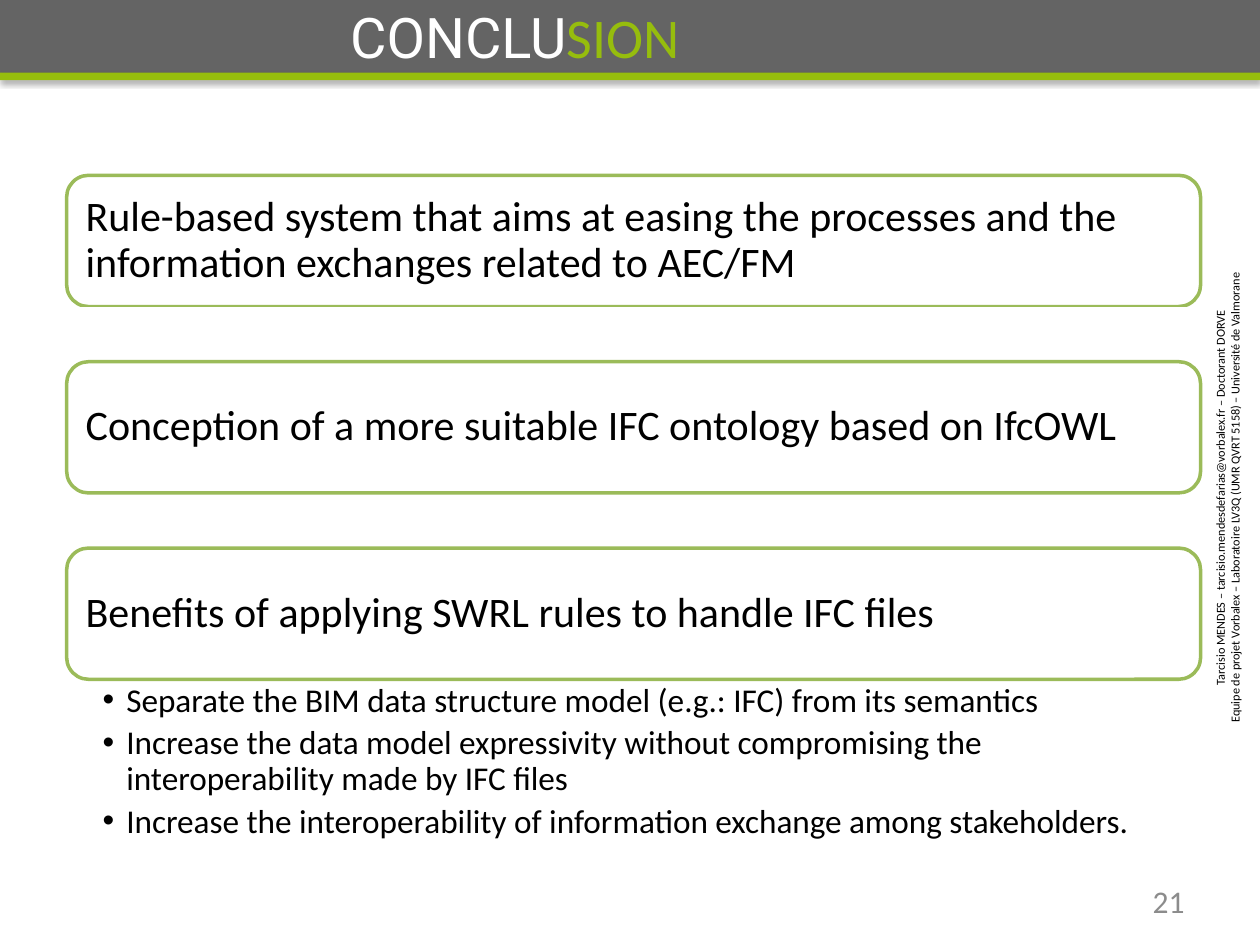
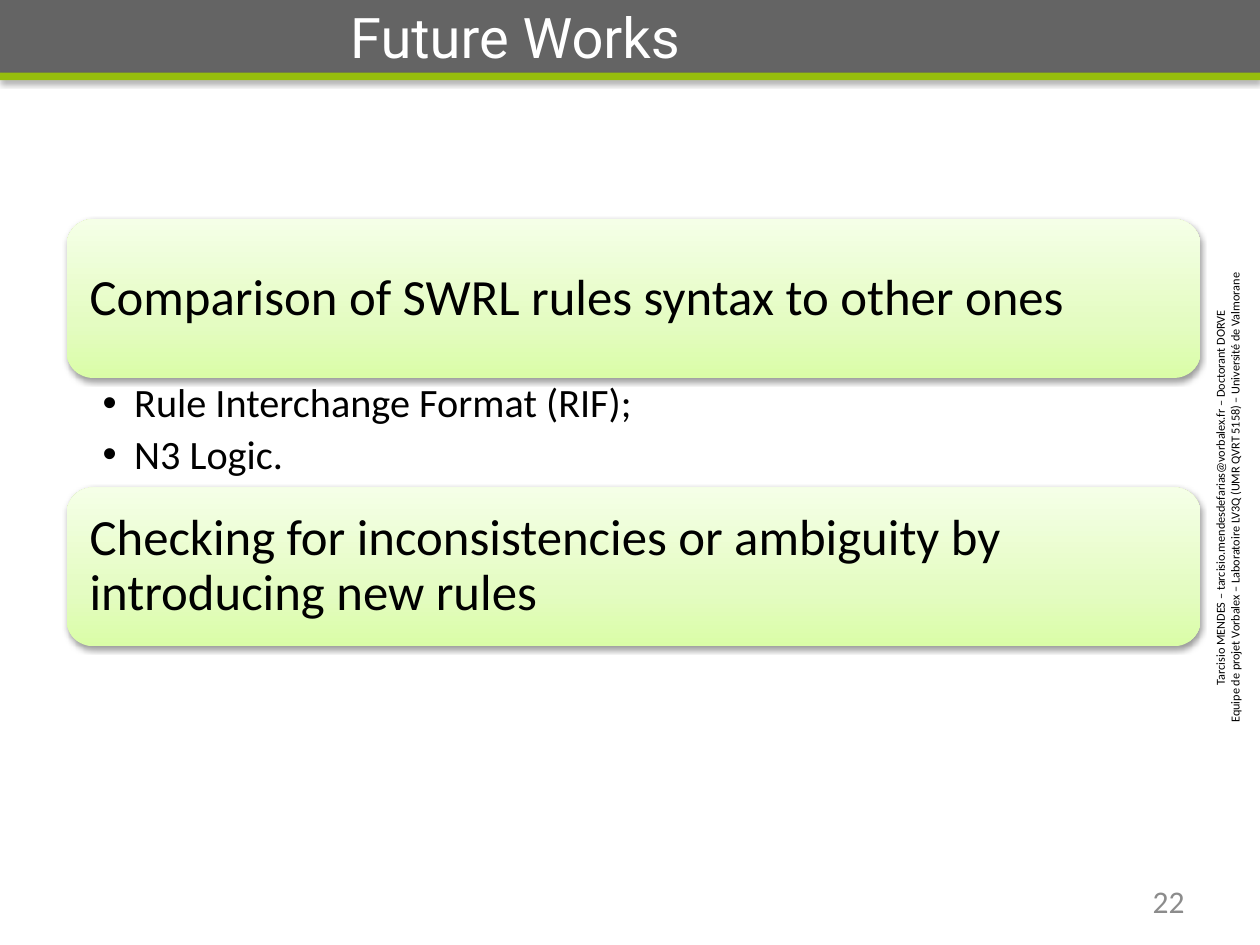
from copy import deepcopy

from lxml import etree
from pptx import Presentation
from pptx.dml.color import RGBColor
from pptx.enum.shapes import MSO_SHAPE
from pptx.enum.text import MSO_ANCHOR, PP_ALIGN
from pptx.oxml.ns import qn
from pptx.util import Pt

RECT, ROUNDED = MSO_SHAPE.RECTANGLE, MSO_SHAPE.ROUNDED_RECTANGLE
TOP, MIDDLE = MSO_ANCHOR.TOP, MSO_ANCHOR.MIDDLE
LEFT, CENTER, RIGHT = PP_ALIGN.LEFT, PP_ALIGN.CENTER, PP_ALIGN.RIGHT

COLORS = {
    "band": "646464",
    "accent": "96BD0D",
    "outline": "9BBB59",
    "white": "FFFFFF",
    "black": "000000",
    "page": "8C8C8C",
    "card_bottom": "DAFDA7",
    "card_middle": "E4FCC2",
    "card_top": "F5FFE7",
}
CARD_GRADIENT = [(0, "card_bottom"), (0.35, "card_middle"), (1, "card_top")]
BODY_FONT, TITLE_FONT = "Calibri", "Roboto"
SLIDE_W, SLIDE_H = 720, 540
CARD_X, CARD_W = 38.1, 648
DEFAULT_INSETS = (7.2, 3.6, 7.2, 3.6)
CREDIT = [
    "Tarcisio MENDES – tarcisio.mendesdefarias@vorbalex.fr – Doctorant DORVE",
    "Equipe de projet Vorbalex – Laboratoire LV3Q (UMR QVRT 5158) – Université de Valmorane",
]


def rgb(name):
    return RGBColor.from_string(COLORS[name])


def add_text(paragraph, text, size=18, font=BODY_FONT, color="black"):
    run = paragraph.add_run()
    run.text = text
    run.font.size, run.font.name = Pt(size), font
    run.font.color.rgb = rgb(color)


def set_frame(frame, insets=DEFAULT_INSETS, anchor=TOP, align=LEFT):
    """Set wrapping, insets (left, top, right, bottom) and alignment; return the first paragraph."""
    frame.word_wrap = True
    frame.vertical_anchor = anchor
    (frame.margin_left, frame.margin_top,
     frame.margin_right, frame.margin_bottom) = map(Pt, insets)
    frame.paragraphs[0].alignment = align
    return frame.paragraphs[0]


def add_box(slide, x, y, w, h, **frame_format):
    box = slide.shapes.add_textbox(Pt(x), Pt(y), Pt(w), Pt(h))
    return box, set_frame(box.text_frame, **frame_format)


def add_panel(slide, kind, x, y, w, h, fill="white"):
    panel = slide.shapes.add_shape(kind, Pt(x), Pt(y), Pt(w), Pt(h))
    panel.shadow.inherit = False
    panel.fill.solid()
    panel.fill.fore_color.rgb = rgb(fill)
    panel.line.fill.background()
    return panel


def add_shadow(panel, opacity, blur, distance):
    """Cast a black shadow straight down; opacity is a percentage."""
    effects = panel.element.spPr.find(qn("a:effectLst"))
    shadow = etree.SubElement(effects, qn("a:outerShdw"), blurRad=str(Pt(blur)),
                              dist=str(Pt(distance)), dir="5400000", rotWithShape="0")
    color = etree.SubElement(shadow, qn("a:srgbClr"), val=COLORS["black"])
    etree.SubElement(color, qn("a:alpha"), val=str(opacity * 1000))


def fill_gradient(panel):
    panel.fill.gradient()
    panel.fill.gradient_angle = 90
    stop_list = panel.element.spPr.find(".//" + qn("a:gsLst"))
    stop_list.append(deepcopy(stop_list[0]))
    for stop, (position, color) in zip(panel.fill.gradient_stops, CARD_GRADIENT):
        stop.position = position
        stop.color.rgb = rgb(color)


def add_card(slide, y, h, text, size):
    card = add_panel(slide, ROUNDED, CARD_X, y, CARD_W, h)
    statement = set_frame(card.text_frame, insets=[0.3 * size] * 4, anchor=MIDDLE)
    statement.line_spacing = 0.9
    add_text(statement, text, size=size)
    return card


def add_outlined_card(slide, y, h, text):
    card = add_card(slide, y, h, text, size=24)
    card.line.color.rgb = rgb("outline")
    card.line.width = Pt(2)


def add_gradient_card(slide, y, h, text):
    card = add_card(slide, y, h, text, size=29)
    fill_gradient(card)
    add_shadow(card, opacity=38, blur=3.1, distance=1.6)


def add_bullets(slide, y, h, items, size, indent, insets):
    box, point = add_box(slide, CARD_X, y, CARD_W, h, insets=insets)
    for index, item in enumerate(items):
        if index:
            point = box.text_frame.add_paragraph()
        point.line_spacing = 0.9
        point.space_after = Pt(0.2 * size)
        properties = point._p.get_or_add_pPr()
        properties.set("marL", str(Pt(indent)))
        properties.set("indent", str(-Pt(indent)))
        etree.SubElement(properties, qn("a:buFont"), typeface="Arial")
        etree.SubElement(properties, qn("a:buChar"), char="•")
        add_text(point, item, size=size)


def add_base_slide(prs, title_parts, number):
    """Add a slide with bands, credit, page number and a title of (text, font, color) parts."""
    slide = prs.slides.add_slide(prs.slide_layouts[6])
    add_panel(slide, RECT, 0, 0, SLIDE_W, 42.5, "band")
    stripe = add_panel(slide, RECT, 0, 41.5, SLIDE_W, 4.3, "accent")
    add_shadow(stripe, opacity=35, blur=3.1, distance=1.8)

    credit_box, credit = add_box(slide, 473.8, 272.2, 455.8, 24.5, align=CENTER)
    credit_box.rotation = 270
    add_text(credit, CREDIT[0], size=7)
    credit.add_line_break()
    add_text(credit, CREDIT[1], size=7)

    _, title = add_box(slide, 193, 0, 505, 41, anchor=MIDDLE)
    for text, font, color in title_parts:
        add_text(title, text, size=32, font=font, color=color)

    _, page = add_box(slide, 516, 500.5, 168, 28.8, anchor=MIDDLE, align=RIGHT)
    add_text(page, str(number), color="page")
    return slide


def add_conclusion(prs):
    slide = add_base_slide(prs, [("CONCLU", TITLE_FONT, "white"),
                                 ("SION", BODY_FONT, "accent")], 21)
    top, height, pitch = 100.2, 75, 106.5
    statements = [
        "Rule-based system that aims at easing the processes and the "
        "information exchanges related to AEC/FM",
        "Conception of a more suitable IFC ontology based on IfcOWL",
        "Benefits of applying SWRL rules to handle IFC files",
    ]
    for index, statement in enumerate(statements):
        add_outlined_card(slide, top + index * pitch, height, statement)
        if index == 0:
            add_panel(slide, RECT, CARD_X, top + height + 0.3, CARD_W, 31)
    add_bullets(slide, top + 2 * pitch + height, 98, [
        "Separate the BIM data structure model (e.g.: IFC) from its semantics",
        "Increase the data model expressivity without compromising the "
        "interoperability made by IFC files",
        "Increase the interoperability of information exchange among stakeholders.",
    ], size=19, indent=13.5, insets=(20.6, 2.4, 13.7, 2.4))


def add_future_works(prs):
    slide = add_base_slide(prs, [("Future Works", TITLE_FONT, "white")], 22)
    top, height, bullets_height = 125.3, 90.7, 62.6
    add_gradient_card(slide, top, height, "Comparison of SWRL rules syntax to other ones")
    add_bullets(slide, top + height, bullets_height,
                ["Rule Interchange Format (RIF);", "N3 Logic."],
                size=23, indent=18, insets=(20.6, 2.9, 16.6, 2.9))
    add_gradient_card(slide, top + height + bullets_height, height,
                      "Checking for inconsistencies or ambiguity by introducing new rules")


def main():
    prs = Presentation()
    prs.slide_width, prs.slide_height = Pt(SLIDE_W), Pt(SLIDE_H)
    add_conclusion(prs)
    add_future_works(prs)
    prs.save("out.pptx")


if __name__ == "__main__":
    main()
